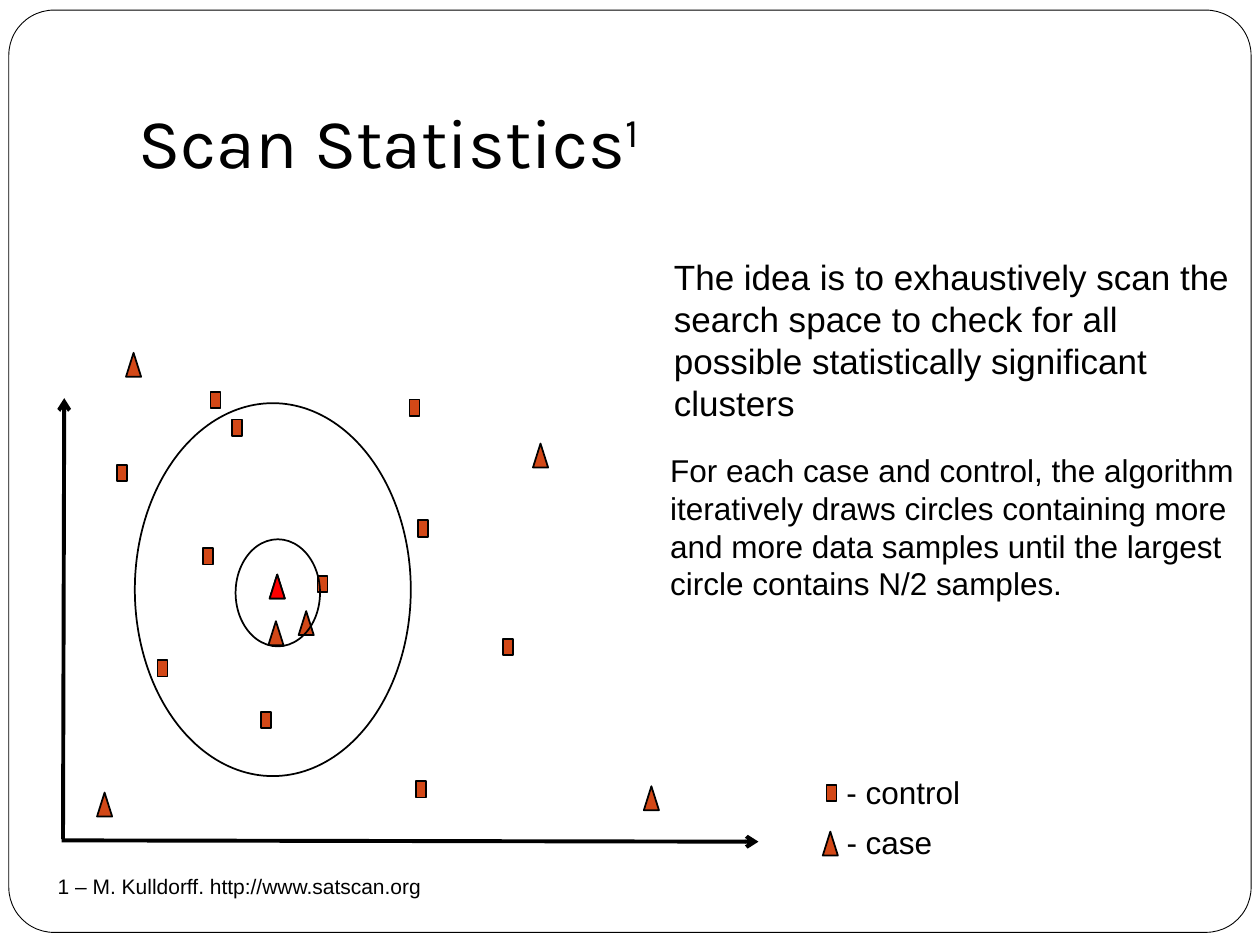
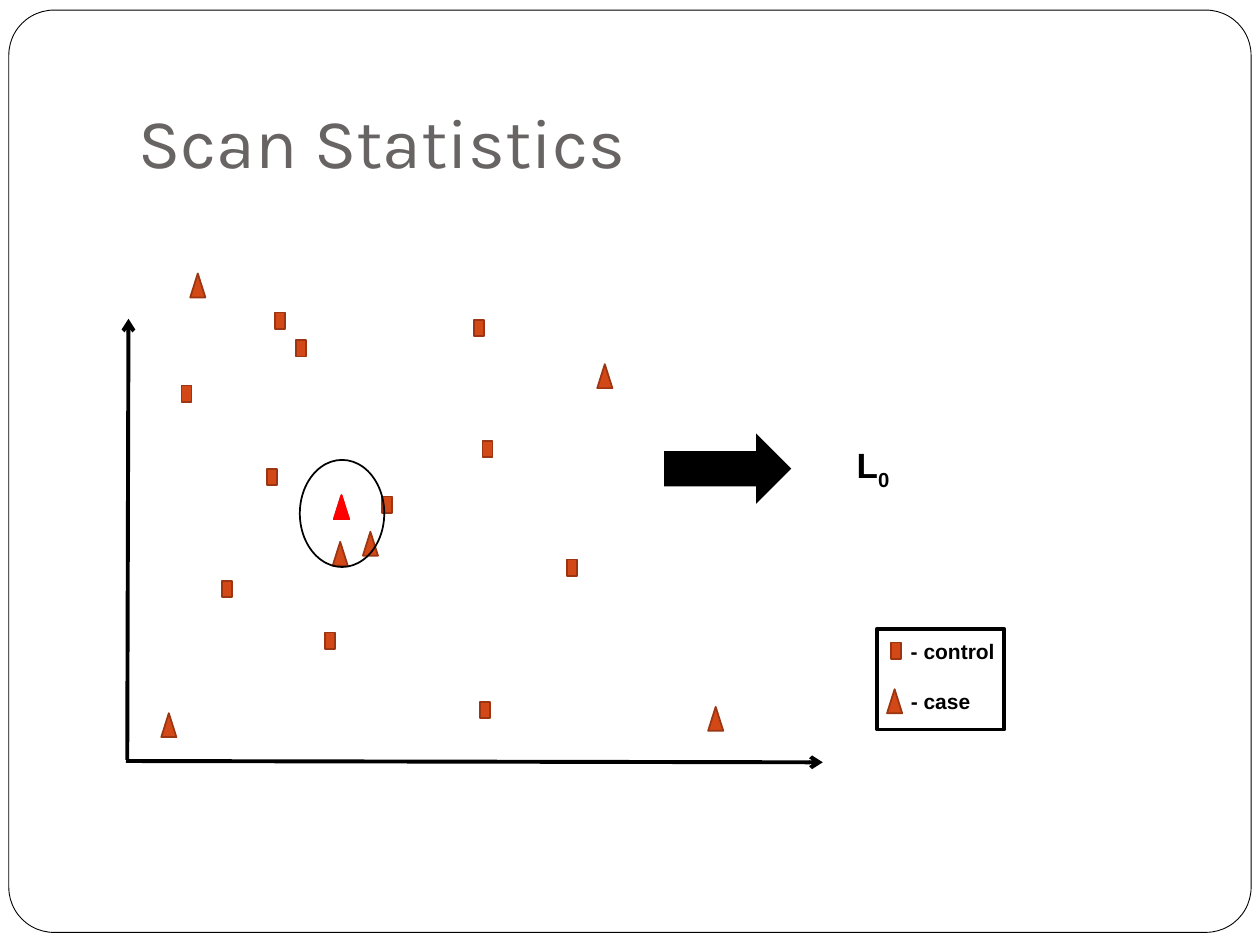
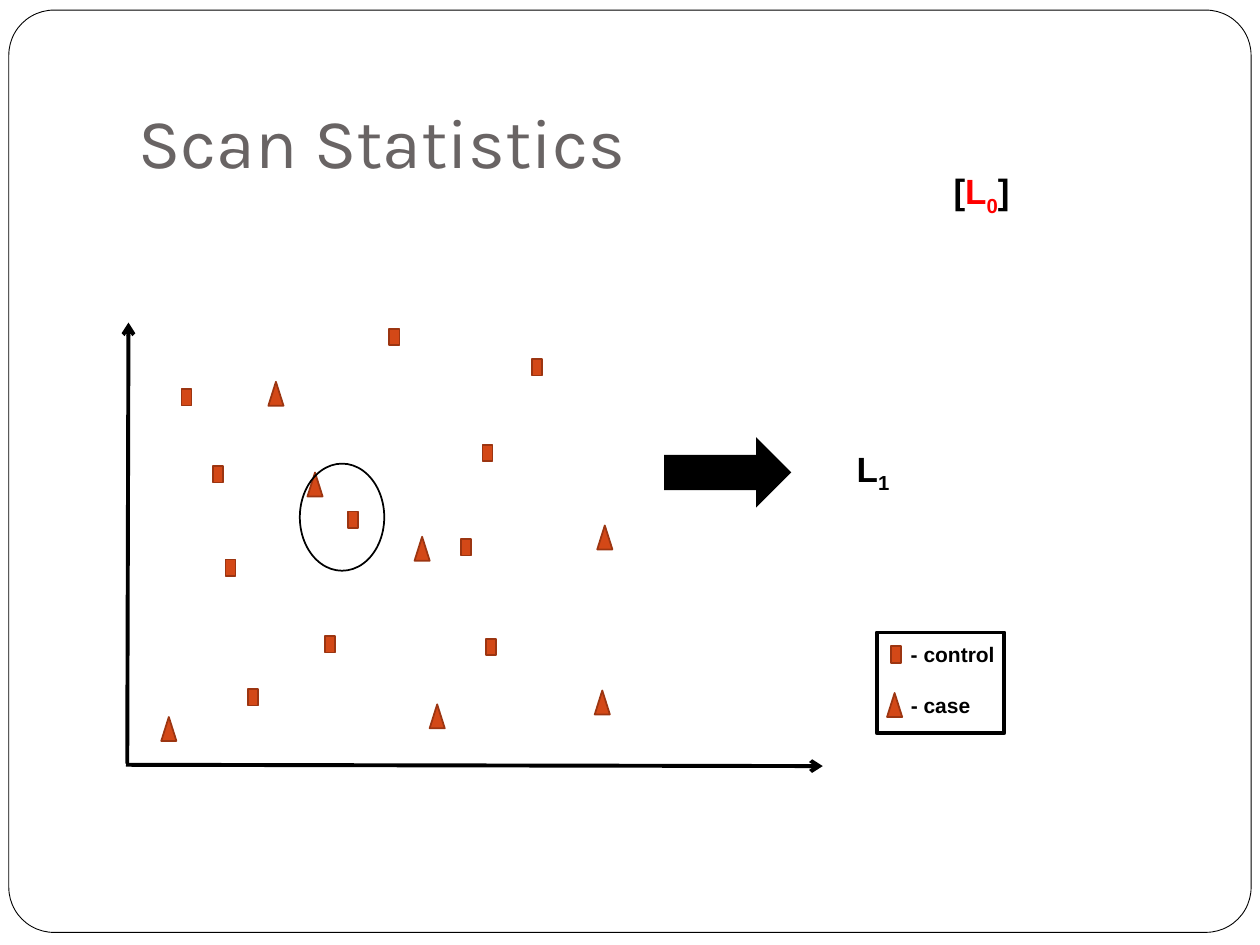
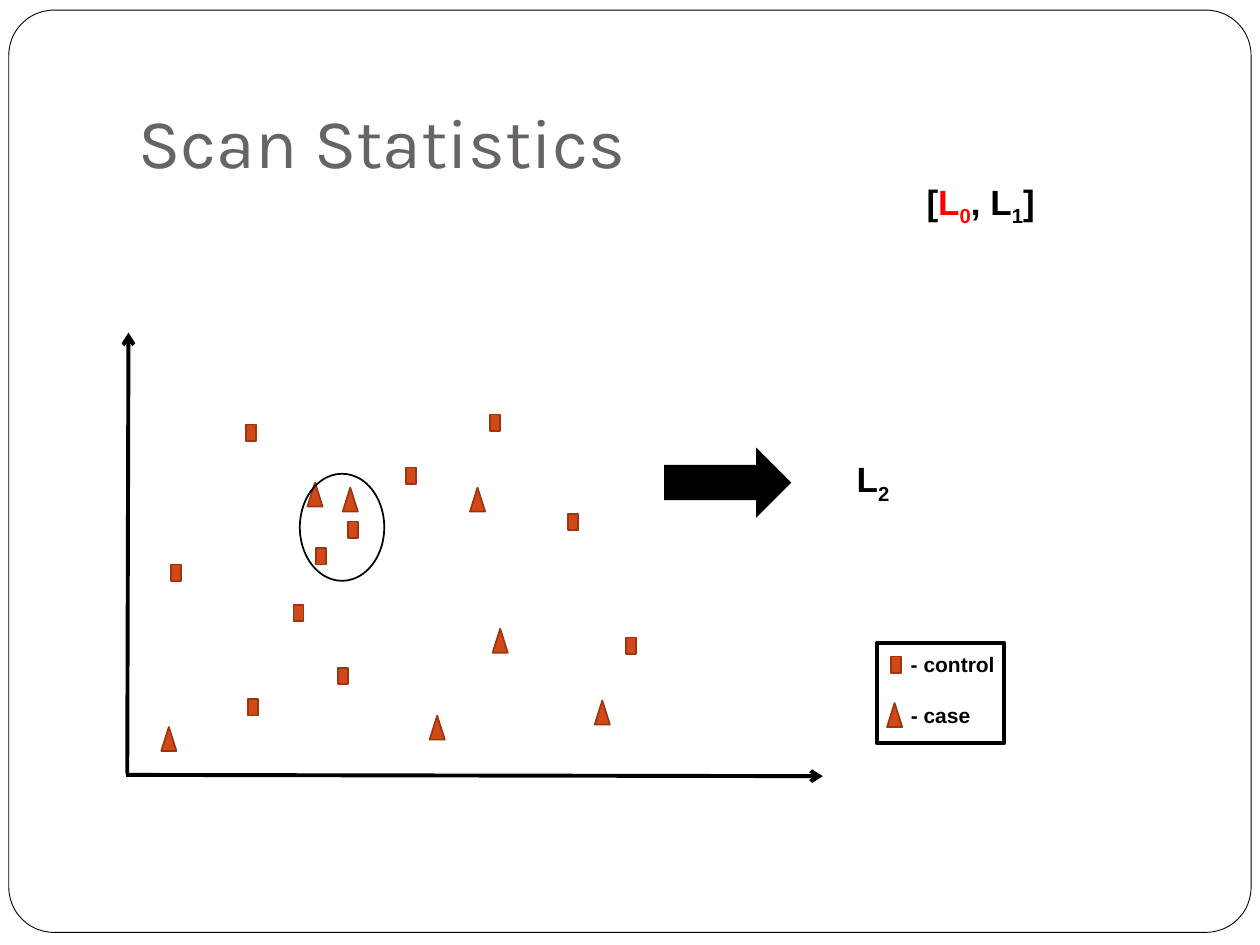
from dataclasses import dataclass

from lxml.etree import SubElement
from pptx import Presentation
from pptx.dml.color import RGBColor
from pptx.enum.shapes import MSO_CONNECTOR, MSO_SHAPE
from pptx.enum.text import MSO_ANCHOR, MSO_AUTO_SIZE, PP_ALIGN
from pptx.oxml.ns import qn
from pptx.util import Inches, Pt


@dataclass(frozen=True)
class Theme:
    ink: str = "000000"
    paper: str = "FFFFFF"
    muted: str = "696464"
    mark: str = "D34817"
    mark_edge: str = "9C3511"
    highlight: str = "FF0000"
    title_font: str = "Karla"
    body_font: str = "Arial"
    title_size: int = 40
    lead_size: int = 20
    text_size: int = 18
    small_size: int = 12
    hairline: float = 0.5
    thin: float = 1
    thick: float = 2.25


THEME = Theme()
SLIDE_W, SLIDE_H = 10, 7.5
SUP, SUB = 30, -25  # baseline shifts in percent

# Content. Rich text is a list of (words, colour, baseline).
# Diagram positions are (right, up) in inches from the origin of the axes
# and give the top left corner of each part.
FIRST_SAMPLES = {
    "cases": [(0.28, 0.38), (0.51, 3.87), (1.65, 2.11), (3.74, 3.15),
              (1.88, 1.82), (1.64, 1.74), (4.62, 0.43)],
    "controls": [(0.44, 2.98), (2.03, 2.1), (0.76, 1.43), (2.83, 2.54),
                 (2.81, 0.47), (1.12, 2.32), (1.58, 1.02), (3.5, 1.6),
                 (1.35, 3.34), (1.18, 3.56), (2.76, 3.5)],
    "focus": (1.65, 2.11),
}
SECOND_SAMPLES = {
    "cases": [(0.28, 0.38), (1.13, 3.04), (2.29, 1.81), (1.44, 2.32),
              (3.72, 0.59), (2.41, 0.48), (3.74, 1.9)],
    "controls": [(0.44, 2.98), (2.66, 1.79), (2.09, 3.46), (2.83, 2.54),
                 (2.86, 1), (1.76, 2.01), (1.58, 1.02), (3.22, 3.22),
                 (0.69, 2.37), (0.97, 0.6), (0.79, 1.63)],
}
THIRD_SAMPLES = {
    "cases": [(0.28, 0.38), (2.73, 2.28), (1.72, 2.28), (1.44, 2.32),
              (3.72, 0.59), (2.41, 0.47), (2.91, 1.16)],
    "controls": [(0.95, 2.78), (3.97, 1.09), (2.89, 2.86), (3.51, 2.07),
                 (1.68, 0.85), (1.76, 2.01), (1.51, 1.8), (2.22, 2.44),
                 (0.36, 1.67), (0.97, 0.6), (1.33, 1.35)],
}

TITLE = "Scan Statistics"
IDEA = ("The idea is to exhaustively scan the search space to check for all "
        "possible statistically significant clusters")
METHOD = ("For each case and control, the algorithm iteratively draws circles "
          "containing more and more data samples until the largest circle "
          "contains N/2 samples.")
SOURCE = "1 – M. Kulldorff. http://www.satscan.org"
BEST = [("L", THEME.highlight, 0), ("0", THEME.highlight, SUB)]

INTRO = {"origin": (0.49, 6.67), "samples": FIRST_SAMPLES}
STEPS = [
    {"origin": (1, 6.04), "samples": FIRST_SAMPLES, "score": "0"},
    {"origin": (1, 6.07), "samples": SECOND_SAMPLES, "score": "1",
     "history": [("[", THEME.ink, 0), *BEST, ("]", THEME.ink, 0)],
     "history_width": 0.66},
    {"origin": (1, 6.15), "samples": THIRD_SAMPLES, "score": "2",
     "history": [("[", THEME.ink, 0), *BEST, (", L", THEME.ink, 0),
                 ("1", THEME.ink, SUB), ("]", THEME.ink, 0)],
     "history_width": 1.09},
]

# Shared geometry of the diagram
CASE = (MSO_SHAPE.ISOSCELES_TRIANGLE, (0.12, 0.19))
CONTROL = (MSO_SHAPE.RECTANGLE, (0.08, 0.13))
AXES = [((0.01, 0.01), (0.02, 3.51)), ((0, 0), (5.53, -0.01))]
SMALL_CIRCLE = ((1.38, 2.39), (0.67, 0.85))
LARGE_CIRCLE = ((0.58, 3.47), (2.19, 2.96))
# Label, mark, place of the mark, label width at each type size
LEGEND = [
    ("- case", CASE, (6.04, 0.57), {THEME.small_size: 0.68, THEME.text_size: 0.92}),
    ("- control", CONTROL, (6.07, 0.94), {THEME.small_size: 0.9, THEME.text_size: 1.14}),
]
LEGEND_LABEL_X = 6.13
LEGEND_LABEL_HEIGHT = {THEME.small_size: 0.28, THEME.text_size: 0.4}
LEGEND_BOX = ((5.96, 1.05), (1.01, 0.8))
RESULT_ARROW = ((4.27, 2.6), (1.01, 0.56))
RESULT = ((5.7, 2.57), (0.48, 0.4))
HISTORY_CENTRE, HISTORY_UP = 6.8, 4.77


def rgb(colour):
    return RGBColor.from_string(colour)


def style_runs(paragraph, rich, font, size, bold=False):
    for words, colour, baseline in rich:
        run = paragraph.add_run()
        run.text = words
        run.font.name, run.font.size, run.font.bold = font, Pt(size), bold
        run.font.color.rgb = rgb(colour)
        if baseline:
            run._r.get_or_add_rPr().set("baseline", str(baseline * 1000))


def add_text(slide, place, extent, rich, size, bold=False, wrap=True):
    box = slide.shapes.add_textbox(*map(Inches, (*place, *extent)))
    frame = box.text_frame
    frame.word_wrap = wrap
    frame.auto_size = MSO_AUTO_SIZE.SHAPE_TO_FIT_TEXT
    style_runs(frame.paragraphs[0], rich, THEME.body_font, size, bold)


def add_figure(slide, preset, place, extent, fill=None, edge=None, weight=THEME.thin):
    figure = slide.shapes.add_shape(preset, *map(Inches, (*place, *extent)))
    figure.shadow.inherit = False
    if fill:
        figure.fill.solid()
        figure.fill.fore_color.rgb = rgb(fill)
    else:
        figure.fill.background()
    if edge:
        figure.line.color.rgb = rgb(edge)
        figure.line.width = Pt(weight)
    else:
        figure.line.fill.background()
    return figure


def add_axis(slide, start, end):
    axis = slide.shapes.add_connector(MSO_CONNECTOR.STRAIGHT, *map(Inches, (*start, *end)))
    axis.line.color.rgb = rgb(THEME.ink)
    axis.line.width = Pt(THEME.thick)
    SubElement(axis.line._get_or_add_ln(), qn("a:tailEnd"), type="arrow")
    SubElement(axis._element.spPr, qn("a:effectLst"))


def placer(origin):
    """Return a function that turns (right, up) into slide coordinates."""
    return lambda point: (origin[0] + point[0], origin[1] - point[1])


def draw_samples(slide, at, samples, edge, focus_edge):
    for start, end in AXES:
        add_axis(slide, at(start), at(end))
    for (preset, extent), points in ((CASE, samples["cases"]), (CONTROL, samples["controls"])):
        for point in points:
            add_figure(slide, preset, at(point), extent, THEME.mark, edge)
    if "focus" in samples:
        add_figure(slide, CASE[0], at(samples["focus"]), CASE[1],
                   THEME.highlight, focus_edge)
    draw_circle(slide, at, SMALL_CIRCLE)


def draw_circle(slide, at, circle):
    point, extent = circle
    add_figure(slide, MSO_SHAPE.OVAL, at(point), extent, edge=THEME.ink)


def draw_legend(slide, at, edge, size, bold, drop=0):
    """Draw the two marks with labels centred beside them."""
    height = LEGEND_LABEL_HEIGHT[size]
    for label, (preset, extent), (right, up), widths in LEGEND:
        add_figure(slide, preset, at((right, up - drop)), extent, THEME.mark, edge)
        label_up = up - drop - extent[1] / 2 + height / 2 + 0.01
        add_text(slide, at((LEGEND_LABEL_X, label_up)), (widths[size], height),
                 [(label, THEME.ink, 0)], size, bold, wrap=False)


def prepare_layout(prs):
    """Set the title's place on the layout."""
    layout = prs.slide_layouts.get_by_name("Title Only")
    title = layout.placeholders[0]
    title.left, title.top, title.width, title.height = map(Inches, (1, 0.3, 8.5, 1.25))
    title.text_frame.vertical_anchor = MSO_ANCHOR.BOTTOM
    title.text_frame.margin_bottom = Inches(0.1)
    return layout


def move_frame_to_layout(slide, layout):
    """Draw the rounded frame once and hang it behind every slide."""
    frame = add_figure(slide, MSO_SHAPE.ROUNDED_RECTANGLE, (0.07, 0.08), (9.86, 7.32),
                       THEME.paper, THEME.ink, THEME.hairline)
    frame.adjustments[0] = 0.049
    layout.shapes._spTree.insert(2, frame._element)


def add_titled_slide(prs, layout, rich):
    slide = prs.slides.add_slide(layout)
    paragraph = slide.shapes.title.text_frame.paragraphs[0]
    paragraph.alignment = PP_ALIGN.LEFT
    style_runs(paragraph, rich, THEME.title_font, THEME.title_size)
    return slide


def build_intro(prs, layout):
    slide = add_titled_slide(prs, layout, [(TITLE, THEME.ink, 0), ("1", THEME.ink, SUP)])
    at = placer(INTRO["origin"])
    draw_samples(slide, at, INTRO["samples"], THEME.ink, THEME.ink)
    draw_circle(slide, at, LARGE_CIRCLE)
    draw_legend(slide, at, THEME.ink, THEME.text_size, False, drop=0.5)
    for words, place, extent, size in (
            (IDEA, (5.25, 1.98), (4.75, 1.45), THEME.lead_size),
            (METHOD, (5.22, 3.53), (4.68, 1.31), THEME.text_size),
            (SOURCE, (0.36, 6.88), (9.5, 0.5), THEME.small_size)):
        add_text(slide, place, extent, [(words, THEME.ink, 0)], size)
    return slide


def build_step(prs, layout, step):
    slide = add_titled_slide(prs, layout, [(TITLE, THEME.muted, 0)])
    at = placer(step["origin"])
    draw_samples(slide, at, step["samples"], THEME.mark_edge, THEME.highlight)
    draw_legend(slide, at, THEME.mark_edge, THEME.small_size, True)
    box_point, box_extent = LEGEND_BOX
    add_figure(slide, MSO_SHAPE.RECTANGLE, at(box_point), box_extent,
               edge=THEME.ink, weight=THEME.thick)
    arrow_point, arrow_extent = RESULT_ARROW
    add_figure(slide, MSO_SHAPE.RIGHT_ARROW, at(arrow_point), arrow_extent, THEME.ink)
    result_point, result_extent = RESULT
    add_text(slide, at(result_point), result_extent,
             [("L", THEME.ink, 0), (step["score"], THEME.ink, SUB)],
             THEME.lead_size, True, wrap=False)
    if "history" in step:
        width = step["history_width"]
        add_text(slide, at((HISTORY_CENTRE - width / 2, HISTORY_UP)), (width, 0.4),
                 step["history"], THEME.lead_size, True, wrap=False)


def main():
    prs = Presentation()
    prs.slide_width, prs.slide_height = Inches(SLIDE_W), Inches(SLIDE_H)
    layout = prepare_layout(prs)
    intro = build_intro(prs, layout)
    move_frame_to_layout(intro, layout)
    for step in STEPS:
        build_step(prs, layout, step)
    prs.save("out.pptx")


if __name__ == "__main__":
    main()
